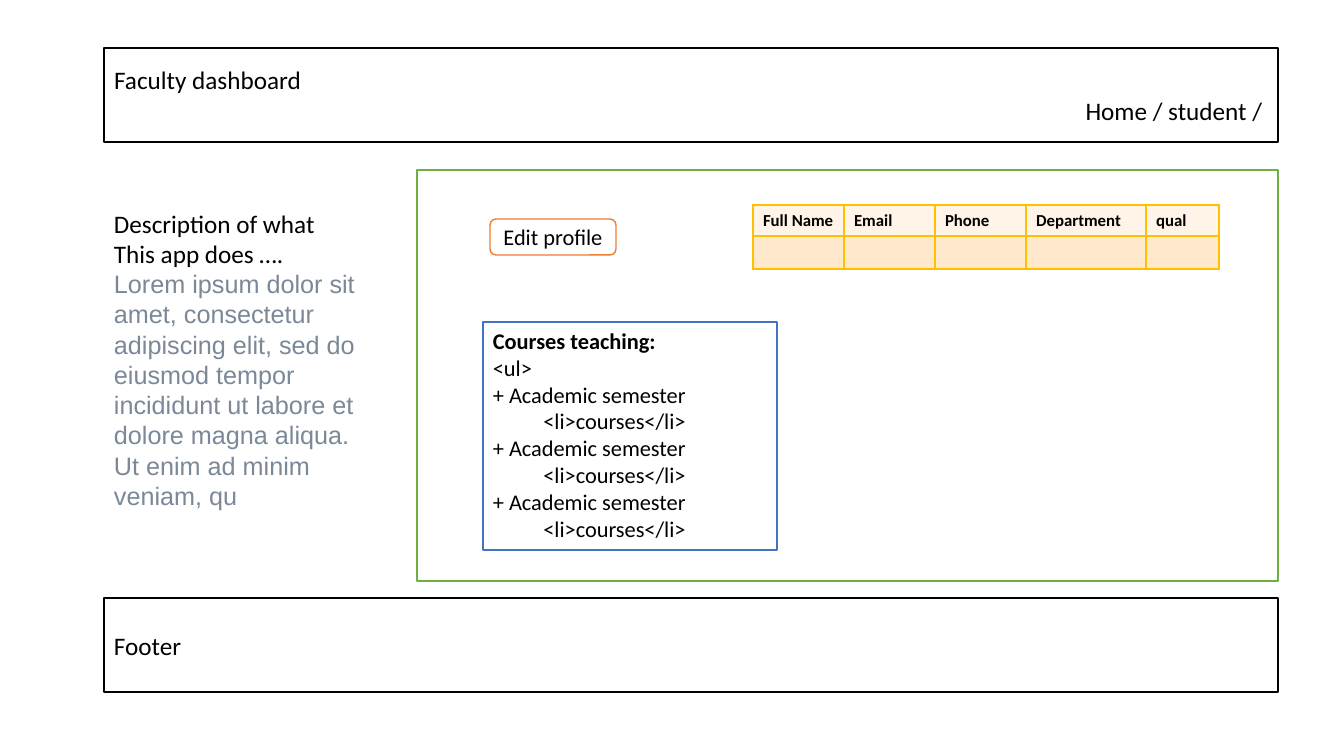
from dataclasses import dataclass

from lxml.etree import SubElement
from pptx import Presentation
from pptx.dml.color import RGBColor
from pptx.enum.shapes import MSO_SHAPE
from pptx.enum.text import MSO_ANCHOR, MSO_AUTO_SIZE, PP_ALIGN
from pptx.oxml.ns import qn
from pptx.util import Emu, Pt

EMU_PER_PX = 914400 / 100.8
BLACK, WHITE, GREY = "000000", "FFFFFF", "7B8898"
GREEN, ORANGE, BLUE, GOLD = "70AD47", "ED7D31", "4472C4", "FFC000"
HEADER_FILL, ROW_FILL = "FFF4E7", "FFE8CC"


@dataclass
class Line:
    text: str
    size: int = 18
    bold: bool = False
    font: str = "Calibri"
    color: str = BLACK
    align: PP_ALIGN = PP_ALIGN.LEFT


@dataclass
class Box:
    area: tuple[int, int, int, int]
    outline: str
    lines: tuple[Line, ...] = ()
    preset: MSO_SHAPE = MSO_SHAPE.RECTANGLE
    anchor: MSO_ANCHOR = MSO_ANCHOR.MIDDLE


def px(length: int) -> Emu:
    return Emu(round(length * EMU_PER_PX))


def rgb(color: str) -> RGBColor:
    return RGBColor.from_string(color)


def place(shape, area: tuple[int, int, int, int]) -> None:
    shape.left, shape.top, shape.width, shape.height = map(px, area)


def paint(shape, outline: str) -> None:
    shape.fill.solid()
    shape.fill.fore_color.rgb = rgb(WHITE)
    shape.line.color.rgb = rgb(outline)
    shape.line.width = Pt(1)


def write(frame, lines: tuple[Line, ...]) -> None:
    frame.word_wrap = True
    for index, line in enumerate(lines):
        paragraph = frame.add_paragraph() if index else frame.paragraphs[0]
        paragraph.text = line.text
        paragraph.alignment = line.align
        font = paragraph.font
        font.name, font.size, font.bold = line.font, Pt(line.size), line.bold
        font.color.rgb = rgb(line.color)


def draw_box(slide, box: Box) -> None:
    shape = slide.shapes.add_shape(box.preset, *map(px, box.area))
    shape.shadow.inherit = False
    paint(shape, box.outline)
    shape.text_frame.vertical_anchor = box.anchor
    write(shape.text_frame, box.lines)


def border_cell(cell, color: str) -> None:
    properties = cell._tc.get_or_add_tcPr()
    for side in ("a:lnL", "a:lnR", "a:lnT", "a:lnB"):
        edge = SubElement(properties, qn(side), w=str(Pt(1)))
        fill = SubElement(edge, qn("a:solidFill"))
        SubElement(fill, qn("a:srgbClr"), val=color)


def draw_profile_table(slide) -> None:
    columns = {"Full Name": 91, "Email": 91, "Phone": 91, "Department": 120, "qual": 73}
    rows = ((31, HEADER_FILL, tuple(columns)), (33, ROW_FILL, ("",) * len(columns)))
    width, height = sum(columns.values()), sum(row[0] for row in rows)
    profile = slide.shapes.add_table(
        len(rows), len(columns), px(753), px(205), px(width), px(height)).table
    for column, column_width in zip(profile.columns, columns.values()):
        column.width = px(column_width)
    for row, (row_height, fill, texts) in zip(profile.rows, rows):
        row.height = px(row_height)
        for cell, text in zip(row.cells, texts):
            border_cell(cell, GOLD)
            cell.fill.solid()
            cell.fill.fore_color.rgb = rgb(fill)
            write(cell.text_frame, (Line(text, 12, bold=True),))


def main() -> None:
    deck = Presentation()
    deck.slide_width, deck.slide_height = px(1344), px(756)
    slide = deck.slides.add_slide(deck.slide_layouts[5])

    # Page header
    header = slide.shapes.title
    place(header, (104, 48, 1174, 94))
    paint(header, BLACK)
    header.text_frame.auto_size = MSO_AUTO_SIZE.NONE
    header.text_frame.vertical_anchor = MSO_ANCHOR.MIDDLE
    write(header.text_frame, (
        Line("Faculty dashboard"),
        Line("Home / student / ", align=PP_ALIGN.RIGHT),
    ))

    # App description
    description = slide.shapes.add_textbox(*map(px, (104, 203, 266, 346)))
    write(description.text_frame, (
        Line("Description of what"),
        Line("This app does …."),
        Line("Lorem ipsum dolor sit amet, consectetur adipiscing elit, sed do "
             "eiusmod tempor incididunt ut labore et dolore magna aliqua. "
             "Ut enim ad minim veniam, qu", font="Arial", color=GREY),
    ))

    # Footer, main panel and edit button
    for box in (
        Box((104, 598, 1174, 94), BLACK, (Line("Footer"),)),
        Box((417, 170, 861, 411), GREEN),
        Box((490, 219, 126, 36), ORANGE,
            (Line("Edit profile", 16, align=PP_ALIGN.CENTER),),
            MSO_SHAPE.ROUNDED_RECTANGLE),
    ):
        draw_box(slide, box)

    # Profile table
    draw_profile_table(slide)

    # Courses by semester
    semester = (Line("+ Academic semester", 16), Line("\t<li>courses</li>", 16))
    courses = (Line("Courses teaching:", 16, bold=True), Line("<ul>", 16), *semester * 3)
    draw_box(slide, Box((483, 322, 294, 228), BLUE, courses, anchor=MSO_ANCHOR.TOP))

    deck.save("out.pptx")


if __name__ == "__main__":
    main()
